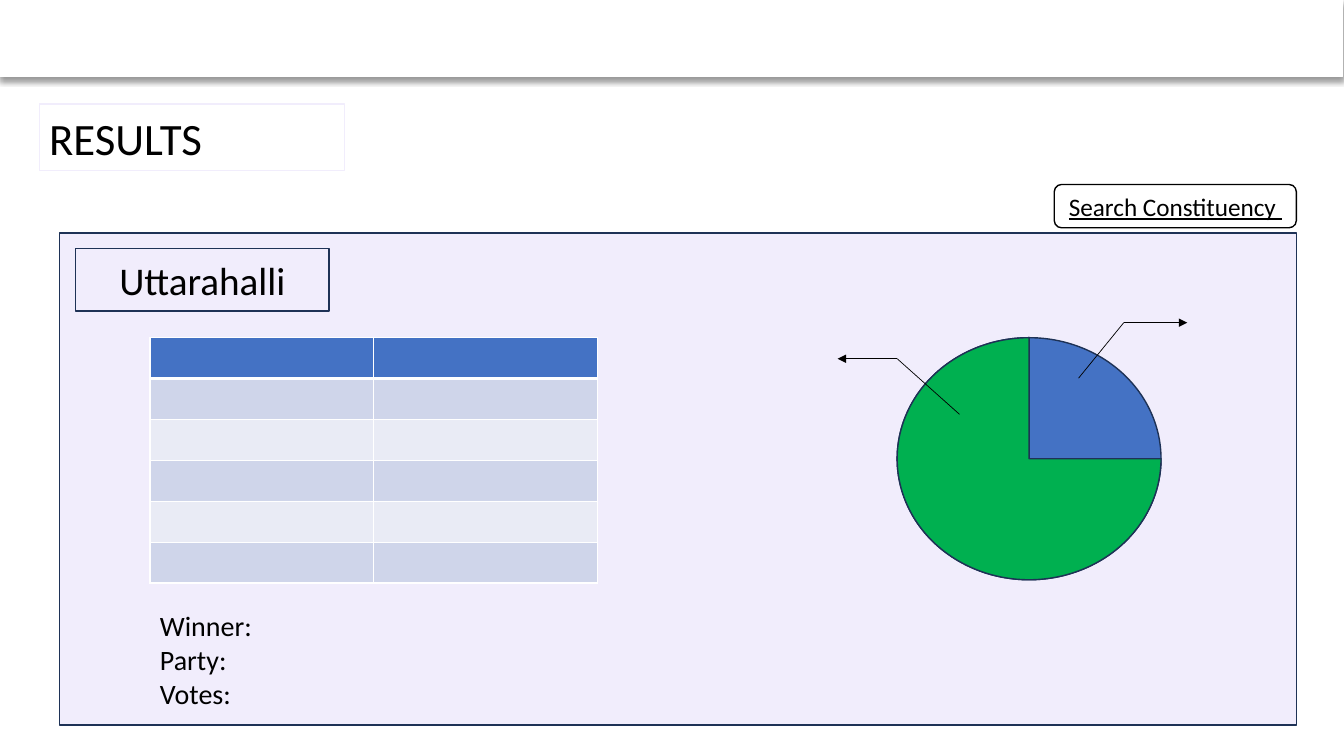
from lxml.etree import Element, SubElement
from pptx import Presentation
from pptx.dml.color import RGBColor
from pptx.enum.shapes import MSO_CONNECTOR, MSO_SHAPE
from pptx.enum.text import MSO_ANCHOR, PP_ALIGN
from pptx.oxml.ns import qn
from pptx.util import Cm, Pt

COLORS = {
    "white": "FFFFFF", "black": "000000", "lilac": "F1EDFC", "navy": "1E3256",
    "blue": "4472C4", "green": "00B050", "dark": "CFD5EA", "light": "E9EBF5",
}
RECT, ROUND = MSO_SHAPE.RECTANGLE, MSO_SHAPE.ROUNDED_RECTANGLE
LEFT, MID = PP_ALIGN.LEFT, PP_ALIGN.CENTER
WIDE, HIGH = 33.87, 19.05
PIE = (22.61, 8.51, 6.65, 6.1)

BACK = (RECT, (0, 0, WIDE, HIGH), "white", "white")
BAR = (RECT, (-0.03, 0, WIDE, 1.93), "white", "white")
PANEL = (RECT, (1.5, 5.87, 31.17, 12.4), "lilac", "navy")
DISC = (MSO_SHAPE.OVAL, PIE, "blue", "navy")
SHARE = (MSO_SHAPE.PIE, PIE, "green", "navy")

TITLE = (RECT, (0.99, 2.62, 7.7, 1.68), "white", "lilac", ["RESULTS"], 32, LEFT)
SEARCH = (ROUND, (26.57, 4.65, 6.1, 1.09), "white", "black",
          ["Search Constituency "], 18, MID)
PLACE = (RECT, (1.91, 6.27, 6.38, 1.57), "lilac", "navy", ["Uttarahalli"], 28, MID)
WINNER = (RECT, (3.78, 15.27, 11.28, 2.69), "lilac", "lilac",
          ["Winner:", "Party:", "Votes:"], 20, LEFT)

GRID = {"left": 3.78, "top": 8.51, "cols": 2, "rows": 6, "wide": 5.64, "high": 1.03}
LEADERS = [
    [(24.18, 10.44), (22.61, 9.04), (21.11, 9.04)],
    [(27.18, 9.53), (28.32, 8.13), (29.92, 8.13)],
]


def color(name):
    return RGBColor.from_string(COLORS[name])


def add_box(slide, kind, place, fill, line, lines=(), size=18, align=LEFT):
    box = slide.shapes.add_shape(kind, *map(Cm, place))
    box.shadow.inherit = False
    box.fill.solid()
    box.fill.fore_color.rgb = color(fill)
    box.line.color.rgb = color(line)
    box.line.width = Pt(1)
    if lines:
        frame = box.text_frame
        frame.text = "\n".join(lines)
        frame.word_wrap = True
        frame.vertical_anchor = MSO_ANCHOR.MIDDLE
        for para in frame.paragraphs:
            para.alignment = align
            for run in para.runs:
                run.font.name = "Calibri"
                run.font.size = Pt(size)
                run.font.color.rgb = color("black")
    return box


def add_shade(box):
    effects = box.element.spPr.find(qn("a:effectLst"))
    shade = SubElement(effects, qn("a:outerShdw"), blurRad=str(Pt(4)),
                       dist=str(Pt(3)), dir="5400000", algn="t", rotWithShape="0")
    tint = SubElement(shade, qn("a:srgbClr"), val=COLORS["black"])
    SubElement(tint, qn("a:alpha"), val="40000")


def add_edge(cell, index, side, width):
    edge = Element(qn("a:ln" + side), w=str(Pt(width)))
    fill = SubElement(edge, qn("a:solidFill"))
    SubElement(fill, qn("a:srgbClr"), val=COLORS["white"])
    cell.get_or_add_tcPr().insert(index, edge)


def add_grid(slide):
    cols, rows = GRID["cols"], GRID["rows"]
    place = (GRID["left"], GRID["top"], cols * GRID["wide"], rows * GRID["high"])
    table = slide.shapes.add_table(rows, cols, *map(Cm, place)).table
    for col in table.columns:
        col.width = Cm(GRID["wide"])
    for num, row in enumerate(table.rows):
        row.height = Cm(GRID["high"])
        shade = "blue" if num == 0 else ("light", "dark")[num % 2]
        for cell in row.cells:
            cell.fill.solid()
            cell.fill.fore_color.rgb = color(shade)
            for index, side in enumerate("LRTB"):
                thick = (num, side) in ((0, "B"), (1, "T"))
                add_edge(cell._tc, index, side, 3 if thick else 1)


def add_leader(slide, points):
    for start, end in zip(points, points[1:]):
        line = slide.shapes.add_connector(
            MSO_CONNECTOR.STRAIGHT, *map(Cm, start + end))
        line.line.color.rgb = color("black")
        line.line.width = Pt(0.5)
        if end == points[-1]:
            SubElement(line.line._get_or_add_ln(), qn("a:tailEnd"), type="triangle")
        SubElement(line.element.spPr, qn("a:effectLst"))


def main():
    deck = Presentation()
    deck.slide_width, deck.slide_height = Cm(WIDE), Cm(HIGH)
    slide = deck.slides.add_slide(deck.slide_layouts[6])
    add_box(slide, *BACK)
    add_shade(add_box(slide, *BAR))
    add_box(slide, *TITLE)
    add_box(slide, *PANEL)
    search = add_box(slide, *SEARCH)
    search.text_frame.paragraphs[0].runs[0].font.underline = True
    add_box(slide, *PLACE)
    add_grid(slide)
    for item in (WINNER, DISC, SHARE):
        add_box(slide, *item)
    for points in LEADERS:
        add_leader(slide, points)
    deck.save("out.pptx")


if __name__ == "__main__":
    main()
